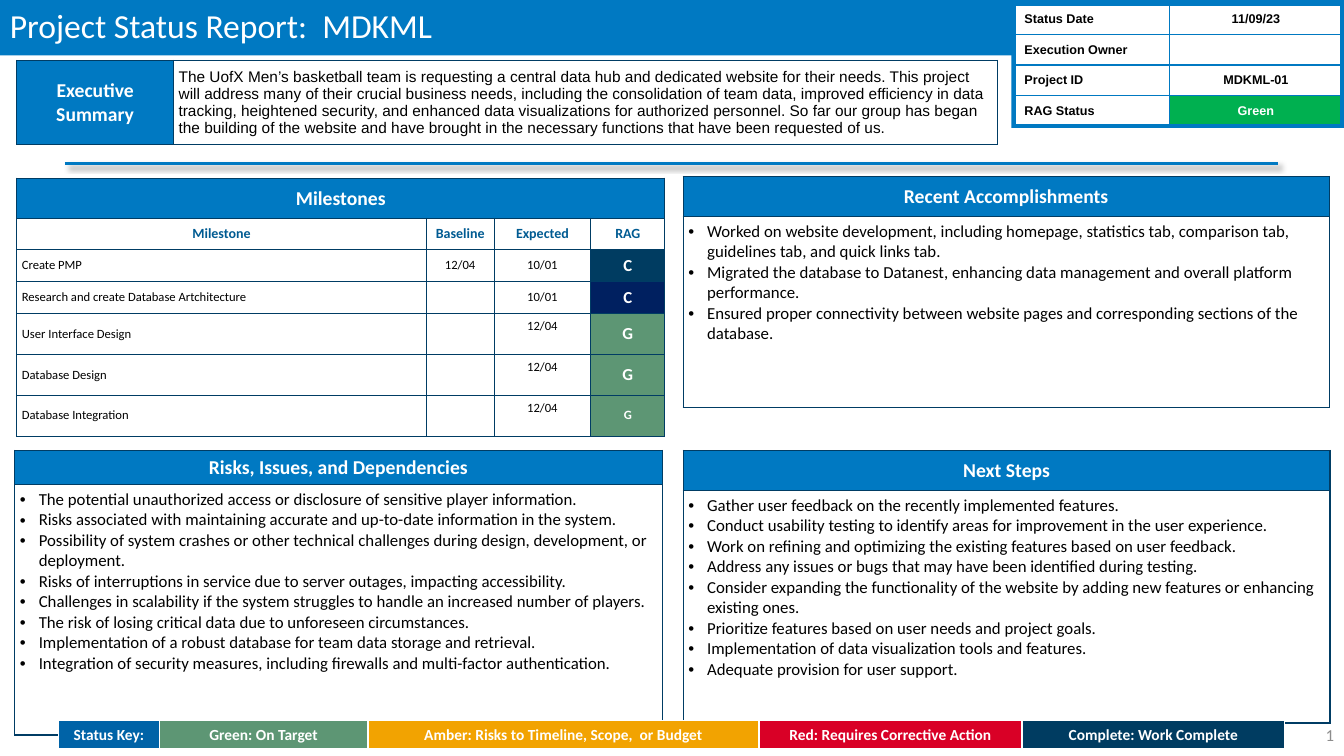
from collections import namedtuple
from dataclasses import dataclass

from lxml.etree import SubElement
from pptx import Presentation
from pptx.dml.color import RGBColor
from pptx.enum.shapes import MSO_CONNECTOR as Connector, MSO_SHAPE as Shape
from pptx.enum.text import MSO_ANCHOR as Anchor, PP_ALIGN as Align
from pptx.oxml.ns import qn
from pptx.util import Pt

Box = namedtuple("Box", "left top width height")
Style = namedtuple("Style", "size color bold font", defaults=(False, "Calibri"))


@dataclass(frozen=True)
class Theme:
    blue: str = "0079C2"
    navy: str = "003C64"
    complete: str = "003C61"
    complete_dark: str = "002060"
    green: str = "5D9674"
    bright_green: str = "00B050"
    amber: str = "F2A301"
    red: str = "D90026"
    key: str = "0063A7"
    white: str = "FFFFFF"
    black: str = "000000"
    title: Style = Style(24, "FFFFFF")
    heading: Style = Style(14, "FFFFFF", True)
    body: Style = Style(12, "000000")
    summary: Style = Style(11, "000000", False, "Arial")
    column: Style = Style(10, "005B92", True)
    entry: Style = Style(9, "000000")
    rating: Style = Style(12, "FFFFFF", True)
    small_rating: Style = Style(9, "FFFFFF", True)
    legend: Style = Style(11, "FFFFFF", True)
    label: Style = Style(9, "000000", True, "Arial")
    status: Style = Style(9, "FFFFFF", True, "Arial")
    number: Style = Style(12, "8C8C8C")


THEME = Theme()
INSET = 3.6


def write_text(text_frame, text, style, align=Align.LEFT):
    text_frame.text = text
    for paragraph in text_frame.paragraphs:
        paragraph.alignment = align
        for run in paragraph.runs:
            run.font.size = Pt(style.size)
            run.font.name = style.font
            run.font.bold = style.bold
            run.font.color.rgb = RGBColor.from_string(style.color)
        if not paragraph.runs:
            SubElement(paragraph._p, qn("a:endParaRPr"), sz=str(style.size * 100))


def add_bullets(text_frame):
    for paragraph in text_frame.paragraphs:
        properties = paragraph._p.get_or_add_pPr()
        properties.set("marL", str(Pt(13.5)))
        properties.set("indent", str(-Pt(13.5)))
        SubElement(properties, qn("a:buFont"), typeface="Arial")
        SubElement(properties, qn("a:buChar"), char="•")


def add_color(parent, color):
    fill = SubElement(parent, qn("a:solidFill"))
    return SubElement(fill, qn("a:srgbClr"), val=color)


def add_borders(cell, color, widths):
    properties = cell._tc.get_or_add_tcPr()
    for side, width in zip("LRTB", widths):
        add_color(SubElement(properties, qn(f"a:ln{side}"), w=str(Pt(width))), color)


def add_grid(slide, box, columns, rows):
    frame = slide.shapes.add_table(len(rows), len(columns), *map(Pt, box))
    table = frame.table
    table.first_row = table.horz_banding = False
    for column, width in zip(table.columns, columns):
        column.width = Pt(width)
    for row, height in zip(table.rows, rows):
        row.height = Pt(height)
    return table


def fill_cell(cell, text, style, fill=THEME.white, align=Align.CENTER, side=INSET,
              border=THEME.navy, widths=(1, 1, 1, 1)):
    cell.vertical_anchor = Anchor.MIDDLE
    cell.margin_left = cell.margin_right = Pt(side)
    cell.margin_top = cell.margin_bottom = Pt(INSET)
    add_borders(cell, border, widths)
    if fill:
        cell.fill.solid()
        cell.fill.fore_color.rgb = RGBColor.from_string(fill)
    else:
        cell.fill.background()
    write_text(cell.text_frame, text, style, align)


def add_band(slide, box):
    band = slide.shapes.add_shape(Shape.RECTANGLE, *map(Pt, box))
    band.shadow.inherit = False
    band.fill.solid()
    band.fill.fore_color.rgb = RGBColor.from_string(THEME.blue)
    band.line.fill.background()


def add_label(slide, box, text, style, align=Align.LEFT):
    text_frame = slide.shapes.add_textbox(*map(Pt, box)).text_frame
    text_frame.word_wrap = True
    text_frame.vertical_anchor = Anchor.MIDDLE
    write_text(text_frame, text, style, align)
    text_frame.paragraphs[0].line_spacing = 0.9


def add_divider(slide, box):
    line = slide.shapes.add_connector(
        Connector.STRAIGHT, Pt(box.left), Pt(box.top), Pt(box.left + box.width), Pt(box.top))
    line.line.color.rgb = RGBColor.from_string(THEME.blue)
    line.line.width = Pt(1.5)
    effects = SubElement(line._element.spPr, qn("a:effectLst"))
    shadow = SubElement(effects, qn("a:outerShdw"), blurRad=str(Pt(4)), dist=str(Pt(3)),
                        dir="2700000", algn="tl", rotWithShape="0")
    color = SubElement(shadow, qn("a:srgbClr"), val=THEME.black)
    SubElement(color, qn("a:alpha"), val="40000")


def add_summary(slide, box, heading, text):
    table = add_grid(slide, box, [112, box.width - 112], [box.height])
    fill_cell(table.cell(0, 0), heading, THEME.heading, THEME.blue)
    fill_cell(table.cell(0, 1), text, THEME.summary, None, Align.LEFT)


def add_panel(slide, box, heading, items, head=28.5):
    table = add_grid(slide, box, [box.width], [head, box.height - head])
    fill_cell(table.cell(0, 0), heading, THEME.heading, THEME.blue)
    body = table.cell(1, 0)
    fill_cell(body, "\n".join(items), THEME.body, align=Align.LEFT)
    body.vertical_anchor = Anchor.TOP
    add_bullets(body.text_frame)


def add_milestones(slide, box, heading, columns, milestones):
    widths = [292.5, 48.5, 69]
    table = add_grid(slide, box, widths + [box.width - sum(widths)],
                     [28.5, 22.5, 22.8, 22.8] + [29.2] * 3)
    for index, name in enumerate(columns):
        fill_cell(table.cell(0, index), "", THEME.heading, THEME.blue)
        fill_cell(table.cell(1, index), name, THEME.column)
    table.cell(0, 0).merge(table.cell(0, len(columns) - 1))
    write_text(table.cell(0, 0).text_frame, heading, THEME.heading, Align.CENTER)
    for row, (name, baseline, expected, rating, color, style) in enumerate(milestones, 2):
        fill_cell(table.cell(row, 0), name, THEME.entry, align=Align.LEFT)
        fill_cell(table.cell(row, 1), baseline, THEME.entry)
        fill_cell(table.cell(row, 2), expected, THEME.entry)
        fill_cell(table.cell(row, 3), rating, style, color)
        if rating == "G":
            table.cell(row, 2).margin_bottom = Pt(INSET + 11)


def add_status_key(slide, box, entries):
    table = add_grid(slide, box, [width for _, width, _ in entries], [box.height])
    for index, (text, _, color) in enumerate(entries):
        fill_cell(table.cell(0, index), text, THEME.legend, color, side=7.2,
                  border=THEME.white, widths=(1, 1, 1, 3))


def add_project_facts(slide, box, facts):
    table = add_grid(slide, box, [111, box.width - 111], [box.height / len(facts)] * len(facts))
    for row, (name, value, style, color) in enumerate(facts):
        top = 3 if row == 0 else 1
        bottom = 3 if row == len(facts) - 1 else 1
        fill_cell(table.cell(row, 0), name, THEME.label, align=Align.LEFT, side=7.2,
                  border=THEME.blue, widths=(3, 1, top, bottom))
        fill_cell(table.cell(row, 1), value, style, color, side=2.9,
                  border=THEME.blue, widths=(1, 3, top, bottom))


def build_status_report(slide, box):
    def place(left, top, width, height):
        return Box(box.left + left, box.top + top, width, height)

    add_band(slide, place(0, 0, box.width, 39.6))
    add_band(slide, place(722.4, 0, 237.6, 91.4))
    add_divider(slide, place(46.3, 116.8, 866.5, 0))
    add_label(slide, place(0, 0, 720, 39.6), "Project Status Report:  MDKML", THEME.title)
    add_label(slide, place(744, 511.5, 216, 28.5), "1", THEME.number, Align.RIGHT)
    add_summary(slide, place(12, 43.2, 700.5, 56.4), "Executive Summary", (
        "The UofX Men’s basketball team is requesting a central data hub and dedicated website "
        "for their needs. This project will address many of their crucial business needs, "
        "including the consolidation of team data, improved efficiency in data tracking, "
        "heightened security, and enhanced data visualizations for authorized personnel.\u00a0"
        "So far our group has began the building of the website and have brought in the "
        "necessary functions that have been requested of us."))
    add_panel(slide, place(488, 126, 461.5, 164.9), "Recent Accomplishments", [
        "Worked on website development, including homepage, statistics tab, comparison tab, "
        "guidelines tab, and quick links tab.",
        "Migrated the database to Datanest, enhancing data management and overall platform "
        "performance.",
        "Ensured proper connectivity between website pages and corresponding sections of the "
        "database."])
    add_panel(slide, place(488, 321.8, 462, 194.7), "Next Steps", [
        "Gather user feedback on the recently implemented features.",
        "Conduct usability testing to identify areas for improvement in the user experience.",
        "Work on refining and optimizing the existing features based on user feedback.",
        "Address any issues or bugs that may have been identified during testing.",
        "Consider expanding the functionality of the website by adding new features or "
        "enhancing existing ones.",
        "Prioritize features based on user needs and project goals.",
        "Implementation of data visualization tools and features.",
        "Adequate provision for user support."])
    add_milestones(
        slide, place(12, 127.4, 463, 184.2), "Milestones",
        ["Milestone", "Baseline", "Expected", "RAG"], [
            ("Create PMP", "12/04", "10/01", "C", THEME.complete, THEME.rating),
            ("Research and create Database Artchitecture", "", "10/01", "C",
             THEME.complete_dark, THEME.rating),
            ("User Interface Design", "", "12/04", "G", THEME.green, THEME.rating),
            ("Database Design", "", "12/04", "G", THEME.green, THEME.rating),
            ("Database Integration", "", "12/04", "G", THEME.green, THEME.small_rating)])
    add_panel(slide, place(10.6, 321.8, 462.4, 203.2), "Risks, Issues, and Dependencies", [
        "The potential unauthorized access or disclosure of sensitive player information.",
        "Risks associated with maintaining accurate and up-to-date information in the system.",
        "Possibility of system crashes or other technical challenges during design, "
        "development, or deployment.",
        "Risks of interruptions in service due to server outages, impacting accessibility.",
        "Challenges in scalability if the system struggles to handle an increased number of "
        "players.",
        "The risk of losing critical data due to unforeseen circumstances.",
        "Implementation of a robust database for team data storage and retrieval.",
        "Integration of security measures, including firewalls and multi-factor "
        "authentication."], head=24.3)
    add_status_key(slide, place(41.8, 514.4, 876, 21.4), [
        ("Status Key:", 72, THEME.key),
        ("Green: On Target", 149, THEME.green),
        ("Amber: Risks to Timeline, Scope,  or Budget", 279.4, THEME.amber),
        ("Red: Requires Corrective Action", 187.8, THEME.red),
        ("Complete: Work Complete", 187.8, THEME.complete)])
    add_project_facts(slide, place(724.6, 3, 234, 87), [
        ("Status Date", "11/09/23", THEME.label, THEME.white),
        ("Execution Owner", "", THEME.label, THEME.white),
        ("Project ID", "MDKML-01", THEME.label, THEME.white),
        ("RAG Status", "Green", THEME.status, THEME.bright_green)])


presentation = Presentation()
presentation.slide_width, presentation.slide_height = Pt(960), Pt(540)
report = presentation.slides.add_slide(presentation.slide_layouts[6])
build_status_report(report, Box(0, 0, 960, 540))
presentation.save("out.pptx")
